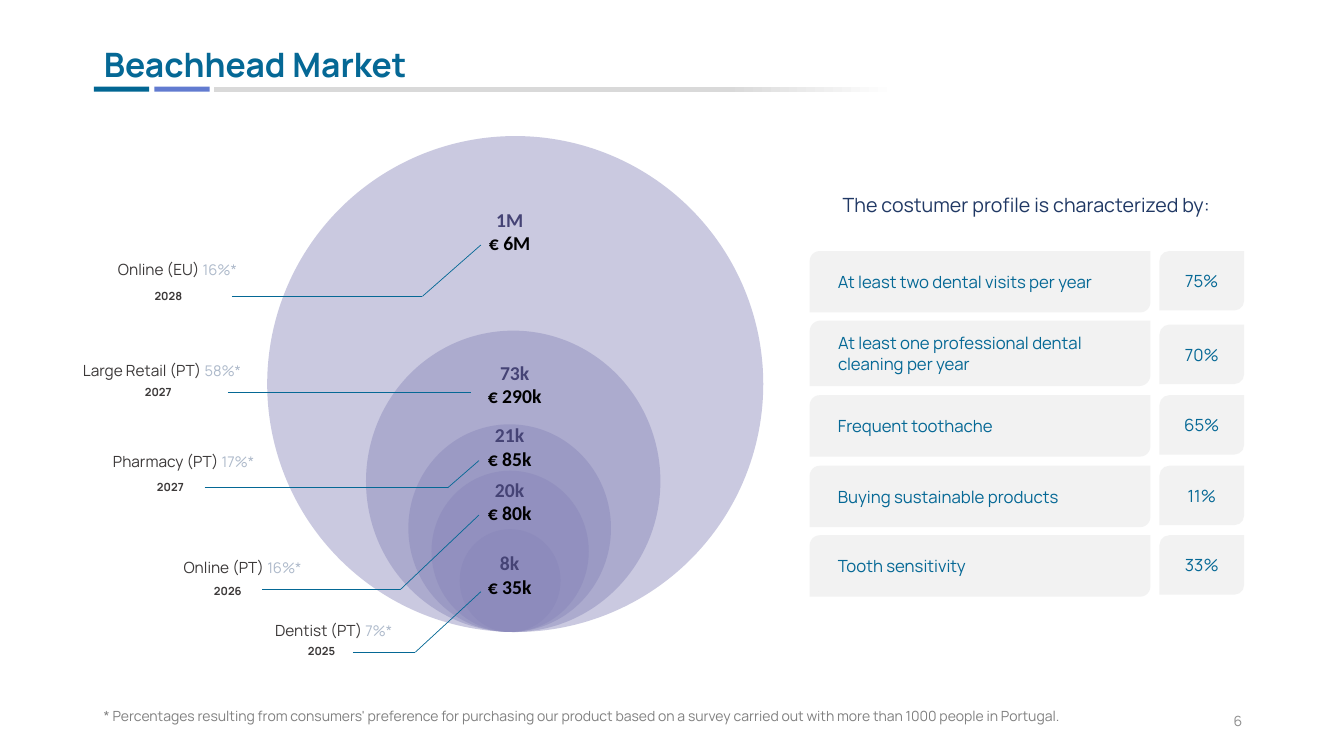
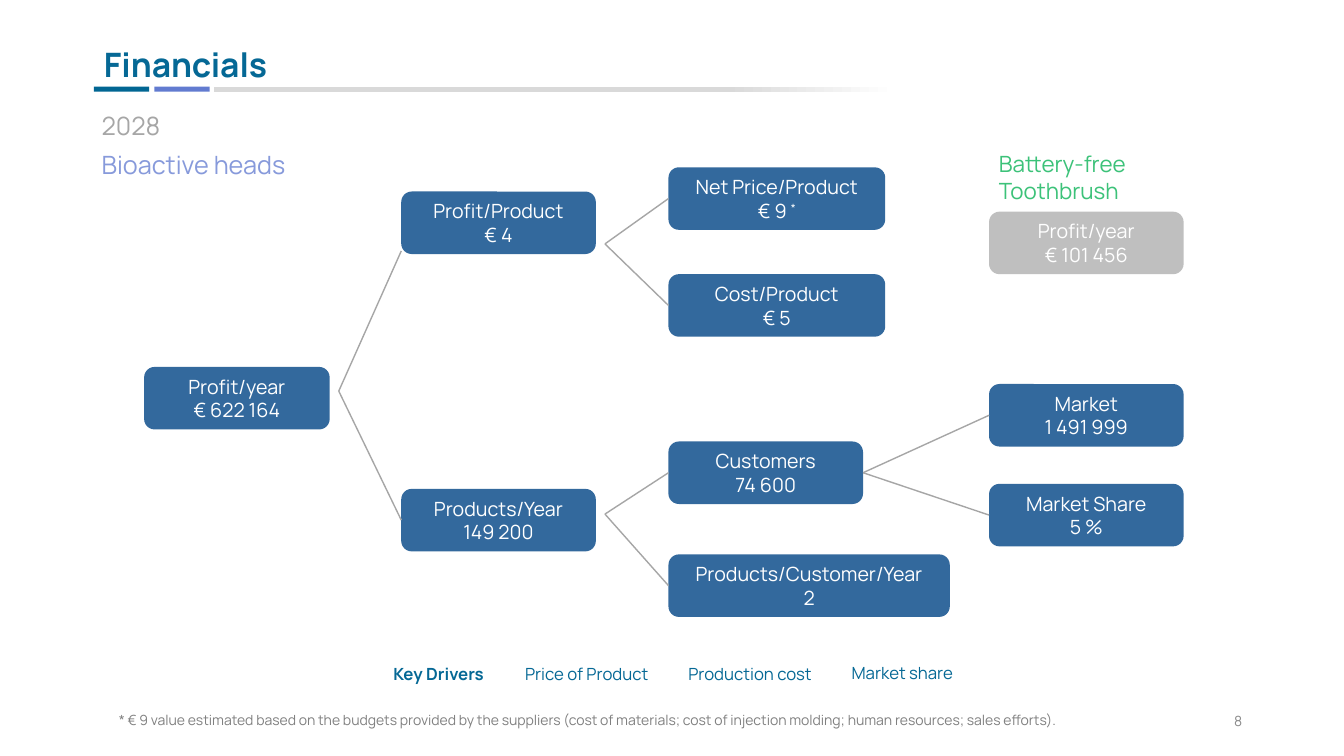
from lxml import etree
from pptx import Presentation
from pptx import util as u
from pptx.dml import color as c
from pptx.enum import shapes, text
from pptx.oxml import ns

LEFT, CENTER, RIGHT = text.PP_ALIGN.LEFT, text.PP_ALIGN.CENTER, text.PP_ALIGN.RIGHT
TOP, MIDDLE = text.MSO_ANCHOR.TOP, text.MSO_ANCHOR.MIDDLE
ELLIPSE = shapes.MSO_SHAPE.OVAL
BAR = shapes.MSO_SHAPE.RECTANGLE
ROUNDED = shapes.MSO_SHAPE.ROUNDED_RECTANGLE
CARD = shapes.MSO_SHAPE.ROUND_2_DIAG_RECTANGLE

TEAL, BLUE, NODE = "056895", "627BD0", "33699D"
DARK, MUTED, GRAY = "3B3838", "ADB9CA", "A6A6A6"


def px(length):
    return u.Emu(length * 9144)


def rgb(value):
    return c.RGBColor.from_string(value)


class Deck:
    font = "Manrope"

    def __init__(self):
        self.presentation = Presentation()
        self.presentation.slide_width = px(1333)
        self.presentation.slide_height = px(750)
        self.slide = None

    def new_slide(self, title, number, note, note_left, note_top):
        self.slide = self.presentation.slides.add_slide(self.presentation.slide_layouts[5])
        self.shape(BAR, 93, 86, 55, 5, "016693")
        self.shape(BAR, 153, 86, 55, 5, BLUE)
        line = self.shape(BAR, 212, 86, 677, 5, "D9D9D9")
        line.fill.gradient()
        line.fill.gradient_angle = 0
        for stop, (position, color) in zip(line.fill.gradient_stops, [(0.75, "D9D9D9"), (1, "FFFFFF")]):
            stop.position = position
            stop.color.rgb = rgb(color)
        heading = self.slide.shapes.title
        heading.left, heading.top, heading.width, heading.height = map(px, (93, 39, 785, 50))
        self.set_text(heading, [[self.run(title, 24, TEAL, bold=True)]], LEFT, MIDDLE)
        self.label(note, note_left, note_top, 1145, 27, 10, "808080")
        self.label(str(number), 942, 695, 300, 40, 10, "8C8C8C", RIGHT, MIDDLE)

    def run(self, content, size, color, bold=False, font=None, raised=False):
        return content, size, color, bold, font or self.font, raised

    def set_text(self, shape, lines, align=LEFT, anchor=TOP, spacing=None):
        frame = shape.text_frame
        frame.word_wrap = True
        frame.auto_size = text.MSO_AUTO_SIZE.NONE
        frame.vertical_anchor = anchor
        for index, runs in enumerate(lines):
            paragraph = frame.add_paragraph() if index else frame.paragraphs[0]
            paragraph.alignment = align
            if spacing:
                paragraph.line_spacing = spacing
            for content, size, color, bold, font, raised in runs:
                run = paragraph.add_run()
                run.text = content
                run.font.size = u.Pt(size)
                run.font.bold = bold
                run.font.name = font
                run.font.color.rgb = rgb(color)
                if raised:
                    run.font._element.set("baseline", "30000")

    def text_box(self, lines, left, top, width, height, align=LEFT, anchor=TOP, spacing=None):
        box = self.slide.shapes.add_textbox(px(left), px(top), px(width), px(height))
        self.set_text(box, lines, align, anchor, spacing)

    def label(self, content, left, top, width, height, size, color, align=LEFT,
              anchor=TOP, bold=False, spacing=None):
        line = [self.run(content, size, color, bold)]
        self.text_box([line], left, top, width, height, align, anchor, spacing)

    def shape(self, kind, left, top, width, height, fill, opacity=None):
        shape = self.slide.shapes.add_shape(kind, px(left), px(top), px(width), px(height))
        shape.shadow.inherit = False
        shape.line.fill.background()
        shape.fill.solid()
        shape.fill.fore_color.rgb = rgb(fill)
        if opacity:
            color = shape._element.spPr.find(".//" + ns.qn("a:srgbClr"))
            etree.SubElement(color, ns.qn("a:alpha")).set("val", str(opacity * 1000))
        return shape

    def card(self, content, left, top, width, height, align, inset):
        card = self.shape(CARD, left, top, width, height, "F2F2F2")
        self.set_text(card, [[self.run(content, 12, TEAL)]], align, MIDDLE)
        card.text_frame.margin_left = px(inset)

    def node(self, name, value, left, top, width, fill=NODE, mark=None):
        node = self.shape(ROUNDED, left, top, width, 62, fill)
        values = [self.run(value, 14, "FFFFFF")]
        if mark:
            values.append(self.run(mark, 14, "FFFFFF", raised=True))
        self.set_text(node, [[self.run(name, 14, "FFFFFF")], values], CENTER, MIDDLE)
        return node

    def line(self, start, end, color, weight):
        connector = self.slide.shapes.add_connector(
            shapes.MSO_CONNECTOR.STRAIGHT, *map(px, (*start, *end)))
        connector.line.color.rgb = rgb(color)
        connector.line.width = u.Pt(weight)
        etree.SubElement(connector._element.spPr, ns.qn("a:effectLst"))
        return connector

    def branch(self, start, node):
        connector = self.line(start, start, GRAY, 1)
        connector.end_connect(node, 1)
        return connector


def market_slide(deck):
    deck.new_slide(
        "Beachhead Market", 6,
        "* Percentages resulting from consumers' preference for purchasing our product based on "
        "a survey carried out with more than 1000 people in Portugal.", 93, 697)

    circle_bottom = 627
    for left, width, height in [(265, 492, 492), (363, 292, 299), (405, 201, 206),
                                (428, 156, 160), (456, 100, 102)]:
        deck.shape(ELLIPSE, left, circle_bottom - height, width, height, "8785B9", 44)

    channels = [
        ("Online (EU) ", "16%*", 245, 253, "2028", 116, 282, "1M", "€ 6M", 446, 201,
         [(230, 294), (419, 294), (477, 243)]),
        ("Large Retail (PT) ", "58%*", 249, 353, "2027", 106, 377, "73k", "€ 290k", 451, 353,
         [(226, 389), (467, 389)]),
        ("Pharmacy (PT) ", "17%*", 262, 444, "2027", 118, 472, "21k", "€ 85k", 446, 415,
         [(203, 484), (444, 484), (475, 457)]),
        ("Online (PT) ", "16%*", 309, 549, "2026", 175, 575, "20k", "€ 80k", 446, 469,
         [(260, 585), (397, 585), (475, 511)]),
        ("Dentist (PT) ", "7%*", 399, 611, "2025", 268, 634, "8k", "€ 35k", 446, 542,
         [(350, 647), (412, 647), (477, 587)]),
    ]
    for (name, share, right, top, year, year_left, year_top,
         units, revenue, value_left, value_top, points) in channels:
        deck.text_box([[deck.run(name, 11, DARK), deck.run(share, 10.5, MUTED)]],
                      right - 190, top, 190, 29, RIGHT)
        deck.label(year, year_left, year_top, 102, 24, 8, DARK, CENTER, bold=True)
        deck.text_box([[deck.run(units, 14, "454375", True, "Calibri")],
                       [deck.run(revenue, 14, "000000", True, "Calibri")]],
                      value_left, value_top, 119, 57, CENTER)
        for start, end in zip(points, points[1:]):
            deck.line(start, end, TEAL, 0.5)

    deck.label("The costumer profile is characterized by:", 802, 175, 432, 42, 14,
               "203864", CENTER, spacing=1.5)
    profile = [
        ("At least two dental visits per year", "75%", 249, 61),
        ("At least one professional dental cleaning per year", "70%", 318, 65),
        ("Frequent toothache", "65%", 392, 61),
        ("Buying sustainable products", "11%", 462, 61),
        ("Tooth sensitivity", "33%", 531, 61),
    ]
    for trait, share, top, height in profile:
        deck.card(trait, 803, top, 338, height, LEFT, 25)
        deck.card(share, 1150, top + height - 61, 84, 59, CENTER, 10)


def financials_slide(deck):
    deck.new_slide(
        "Financials", 8,
        "* € 9 value estimated based on the budgets provided by the suppliers (cost of materials; "
        "cost of injection molding; human resources; sales efforts).", 108, 701)
    deck.label("2028", 91, 105, 313, 40, 18, GRAY)
    deck.label("Bioactive heads", 91, 143, 313, 40, 18, "879ADB")
    deck.label("Battery-free Toothbrush", 981, 144, 193, 64, 16, "3CC279")

    deck.node("Profit/year", "€ 101 456", 981, 210, 193, "BFBFBF")
    deck.node("Profit/year", "€ 622 164", 143, 364, 184)
    deck.node("Profit/Product", "€ 4", 398, 190, 193)
    products = deck.node("Products/Year", "149 200", 398, 485, 193)
    price = deck.node("Net Price/Product", "€ 9 ", 663, 166, 215, mark="*")
    cost = deck.node("Cost/Product", "€ 5", 663, 272, 215)
    customers = deck.node("Customers", "74 600", 663, 438, 193)
    per_customer = deck.node("Products/Customer/Year", "2", 663, 550, 279)
    market = deck.node("Market", "1 491 999", 981, 381, 193)
    share = deck.node("Market Share", "5 %", 981, 480, 193)

    deck.line((336, 388), (398, 249), GRAY, 1)
    for start, node in [((336, 388), products), ((600, 242), price), ((600, 242), cost),
                        ((600, 510), customers), ((600, 510), per_customer)]:
        deck.branch(start, node)
    for node in (market, share):
        deck.branch((856, 469), node).begin_connect(customers, 3)

    for driver, center, top, bold in [
            ("Key Drivers", 435, 653, True), ("Price of Product", 582, 653, False),
            ("Production cost", 744, 653, False), ("Market share", 895, 652, False)]:
        deck.label(driver, center - 78, top, 156, 30, 12, TEAL, CENTER, MIDDLE, bold)


def main():
    deck = Deck()
    market_slide(deck)
    financials_slide(deck)
    deck.presentation.save("out.pptx")


if __name__ == "__main__":
    main()
